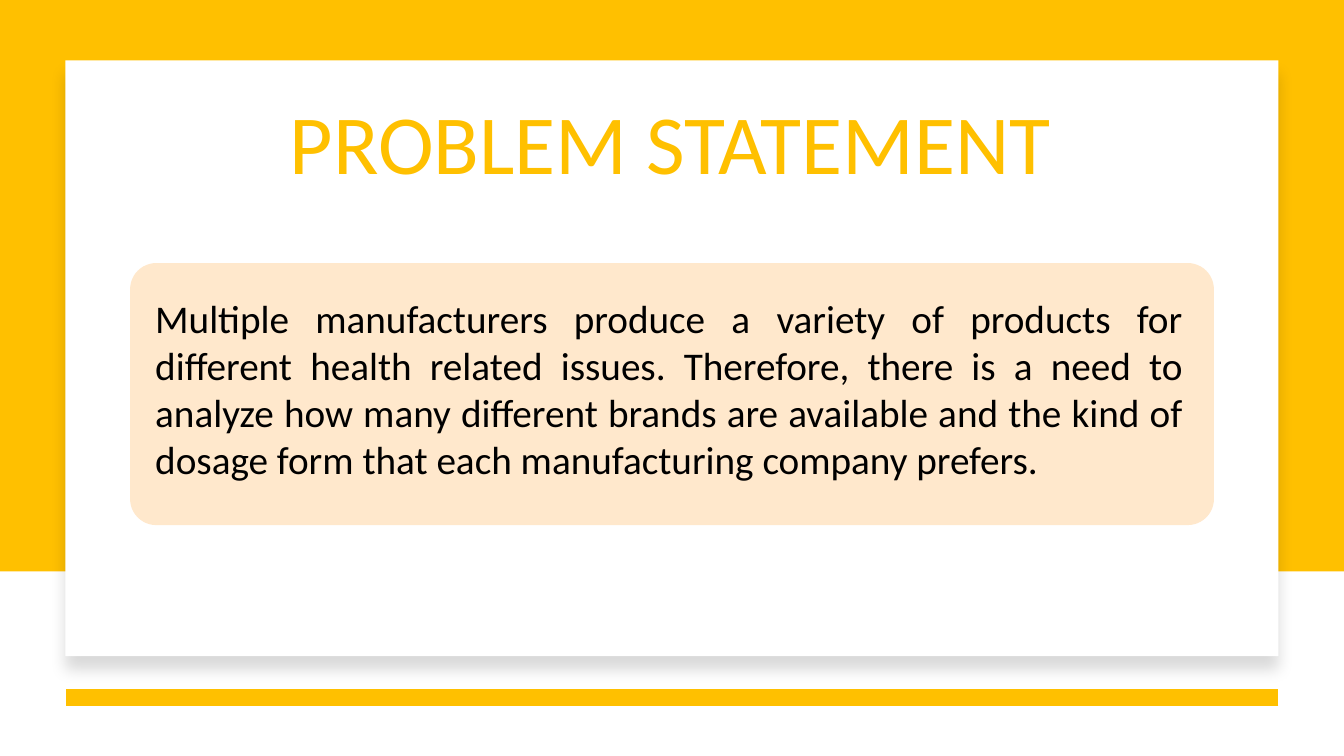
from lxml import etree
from pptx import Presentation
from pptx.dml.color import RGBColor
from pptx.enum.shapes import MSO_CONNECTOR, MSO_SHAPE
from pptx.enum.text import MSO_ANCHOR, PP_ALIGN
from pptx.oxml import parse_xml
from pptx.oxml.ns import nsdecls, qn
from pptx.util import Inches, Pt

AMBER, WHITE, PEACH, BLACK = "FFC000", "FFFFFF", "FFE8CC", "000000"


def color(hex_string):
    return RGBColor.from_string(hex_string)


def add_text(box, text, size, hex_string, alignment):
    box.text_frame.word_wrap = True
    paragraph = box.text_frame.paragraphs[0]
    paragraph.alignment = alignment
    run = paragraph.add_run()
    run.text = text
    run.font.name = "Calibri"
    run.font.size = Pt(size)
    run.font.color.rgb = color(hex_string)
    return paragraph


presentation = Presentation()
presentation.slide_width = Inches(13.33)
presentation.slide_height = Inches(7.5)
slide = presentation.slides.add_slide(presentation.slide_layouts[6])

# Amber backdrop, white card and peach panel
panels = []
for kind, left, top, width, height, fill in [
    (MSO_SHAPE.RECTANGLE, 0, 0, 13.33, 5.67, AMBER),
    (MSO_SHAPE.RECTANGLE, 0.65, 0.6, 12.03, 5.91, WHITE),
    (MSO_SHAPE.ROUNDED_RECTANGLE, 1.29, 2.61, 10.75, 2.6, PEACH),
]:
    shape = slide.shapes.add_shape(
        kind, Inches(left), Inches(top), Inches(width), Inches(height))
    shape.shadow.inherit = False
    shape.fill.solid()
    shape.fill.fore_color.rgb = color(fill)
    shape.line.fill.background()
    panels.append(shape)
backdrop, card, statement_panel = panels
statement_panel.adjustments[0] = 0.1

# Soft shadow under the card
effects = card._element.spPr.find(qn("a:effectLst"))
effects.append(parse_xml(
    f'<a:outerShdw {nsdecls("a")} blurRad="{Pt(11)}" dist="{Pt(10)}" '
    'dir="5400000" algn="t" rotWithShape="0">'
    f'<a:srgbClr val="{BLACK}"><a:alpha val="15000"/></a:srgbClr>'
    '</a:outerShdw>'))

# Amber rule below the card
rule = slide.shapes.add_connector(
    MSO_CONNECTOR.STRAIGHT, Inches(12.68), Inches(6.92), Inches(0.65), Inches(6.92))
rule.line.color.rgb = color(AMBER)
rule.line.width = Pt(12)
etree.SubElement(rule._element.spPr, qn("a:effectLst"))

# Title
title = slide.shapes.add_textbox(Inches(1.65), Inches(0.96), Inches(10), Inches(0.89))
heading = add_text(title, "PROBLEM STATEMENT", 60, AMBER, PP_ALIGN.CENTER)
heading.line_spacing = 0.9
heading.space_before = Pt(10)

# Problem statement
statement = slide.shapes.add_textbox(Inches(1.38), Inches(3.35), Inches(10.51), Inches(1))
frame = statement.text_frame
frame.vertical_anchor = MSO_ANCHOR.MIDDLE
frame.margin_left = frame.margin_right = Inches(0.16)
frame.margin_top = frame.margin_bottom = Inches(0.16)
add_text(
    statement,
    "Multiple manufacturers produce a variety of products for different health "
    "related issues. Therefore, there is a need to analyze how many different "
    "brands are available and the kind of dosage form that each manufacturing "
    "company prefers.",
    28, BLACK, PP_ALIGN.JUSTIFY)

presentation.save("out.pptx")
